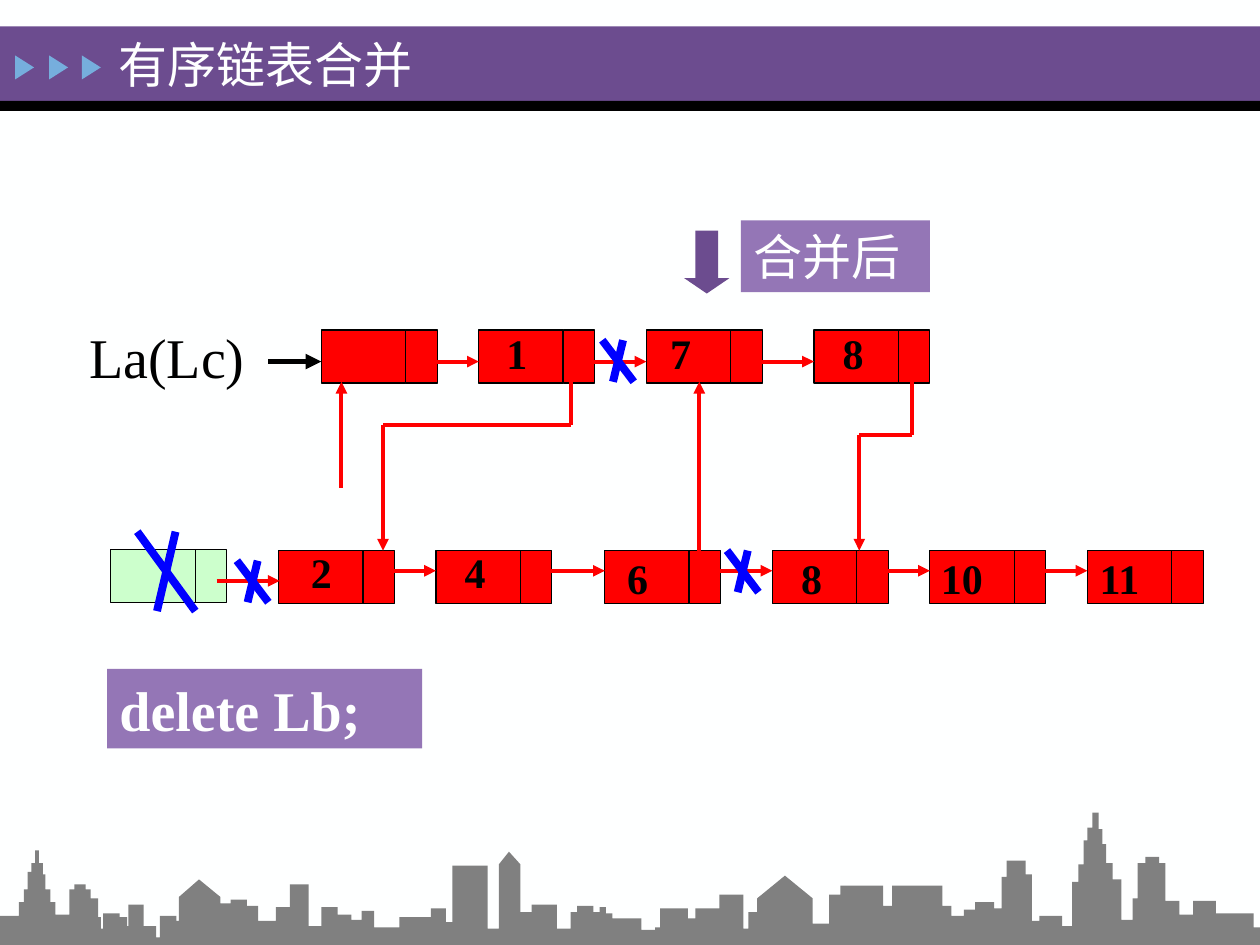
from lxml import etree
from pptx import Presentation
from pptx.dml.color import RGBColor
from pptx.enum import shapes, text
from pptx.oxml.ns import qn
from pptx.util import Inches, Pt

FONT = "Times New Roman"
WHITE, BLACK, RED, BLUE = "FEFFFF", "000000", "FF0000", "0000FF"
PURPLE, LILAC, SKY, GREEN, GREY = "6C4C8F", "9476B6", "76AEDD", "CCFFCC", "808080"
DATA_WIDTH, LINK_WIDTH, NODE_HEIGHT = 0.67, 0.25, 0.42
LINK_LENGTH = 0.5

# Each list: node top, arrow height, nodes as (left, value, value left, value top)
LISTS = [
    (2.62, 2.87, [(2.55, None, 0, 0), (3.8, "1", 3.92, 2.54),
                  (5.13, "7", 5.22, 2.54), (6.46, "8", 6.59, 2.54)]),
    (4.37, 4.53, [(2.21, "2", 2.37, 4.28), (3.46, "4", 3.59, 4.28),
                  (4.8, "6", 4.88, 4.33), (6.13, "8", 6.26, 4.33),
                  (7.38, "10", 7.37, 4.33), (8.63, "11", 8.63, 4.33)]),
]
# Corner points of the links between the lists; each ends in an arrowhead
LINK_PATHS = [
    [(2.71, 3.87), (2.71, 3.03)],
    [(4.53, 2.87), (4.53, 3.37), (3.04, 3.37), (3.04, 4.37)],
    [(5.55, 4.53), (5.55, 3.03)],
    [(7.24, 2.87), (7.24, 3.45), (6.82, 3.45), (6.82, 4.37)],
    [(1.72, 4.61), (2.22, 4.61)],
]
# Skyline: from each x on, the roof is at height y
ROOF_STEPS = [
    (0, 7.27), (0.15, 7.16), (0.19, 7.06), (0.22, 6.92), (0.25, 6.85), (0.28, 6.75),
    (0.31, 6.85), (0.34, 6.94), (0.36, 7.06), (0.4, 7.16), (0.44, 7.26), (0.55, 7.06),
    (0.59, 7.02), (0.68, 7.06), (0.72, 7.13), (0.78, 7.28), (0.8, 7.37), (0.82, 7.25),
    (0.95, 7.28), (1.01, 7.35), (1.02, 7.18), (1.14, 7.35), (1.24, 7.44), (1.27, 7.27),
    (1.4, 7.31), (1.42, 7.12), (1.75, 7.17), (1.83, 7.14), (1.96, 7.19), (2.05, 7.31),
    (2.19, 7.2), (2.3, 7.02), (2.45, 7.35), (2.55, 7.2), (2.68, 7.26), (2.79, 7.3),
    (2.87, 7.23), (2.97, 7.36), (3.17, 7.28), (3.42, 7.21), (3.54, 7.32), (3.59, 6.87),
    (3.87, 7.37), (3.96, 6.86), (4.13, 7.24), (4.22, 7.18), (4.42, 7.37), (4.53, 7.24),
    (4.58, 7.19), (4.71, 7.24), (4.76, 7.2), (4.81, 7.25), (4.86, 7.29), (5.09, 7.38),
    (5.2, 7.36), (5.24, 7.21), (5.46, 7.29), (5.52, 7.21), (5.71, 7.1), (5.9, 7.37),
    (5.94, 7.24), (6.01, 7.13), (6.45, 7.33), (6.58, 7.1), (6.67, 7.03), (7.01, 7.19),
    (7.08, 7.03), (7.48, 7.19), (7.55, 7.27), (7.65, 7.22), (7.74, 7.16), (7.89, 7.21),
    (7.95, 6.96), (7.99, 6.83), (8.14, 6.94), (8.19, 7.31), (8.25, 7.27), (8.43, 7.35),
    (8.51, 7), (8.56, 6.86), (8.6, 6.67), (8.63, 6.57), (8.67, 6.45), (8.72, 6.58),
    (8.75, 6.7), (8.78, 6.85), (8.83, 6.98), (8.9, 7.3), (8.99, 7.13), (9.03, 6.85),
    (9.09, 6.8), (9.2, 6.85), (9.25, 7.15), (9.36, 7.26), (9.47, 7.15), (9.65, 7.25),
    (9.95, 7.36),
]
GABLES = {1.42: (1.58, 6.98), 3.96: (4.04, 6.76), 6.01: (6.23, 6.95)}
SKYLINE_BOTTOM = 7.52


def color(value):
    return RGBColor.from_string(value)


def paint(shape, fill, line=None):
    shape.shadow.inherit = False
    shape.fill.solid()
    shape.fill.fore_color.rgb = color(fill)
    if line:
        shape.line.color.rgb = color(line)
        shape.line.width = Pt(0.75)
    else:
        shape.line.fill.background()


def add_box(slide, left, top, width, height, fill, line=None,
            kind=shapes.MSO_SHAPE.RECTANGLE):
    shape = slide.shapes.add_shape(
        kind, Inches(left), Inches(top), Inches(width), Inches(height))
    paint(shape, fill, line)
    return shape


def write(shape, content, size, font_color, bold=False, wrap=True):
    frame = shape.text_frame
    frame.text = content
    frame.word_wrap = wrap
    frame.vertical_anchor = text.MSO_ANCHOR.MIDDLE
    paragraph = frame.paragraphs[0]
    paragraph.alignment = text.PP_ALIGN.LEFT
    font = paragraph.runs[0].font
    font.name, font.size, font.bold = FONT, Pt(size), bold
    font.color.rgb = color(font_color)


def add_label(slide, left, top, width, height, content, size, bold=False, wrap=True):
    box = slide.shapes.add_textbox(
        Inches(left), Inches(top), Inches(width), Inches(height))
    write(box, content, size, BLACK, bold, wrap)


def add_line(slide, start, end, line_color, width, arrow=False):
    line = slide.shapes.add_connector(
        shapes.MSO_CONNECTOR.STRAIGHT, *map(Inches, (*start, *end)))
    line.line.color.rgb = color(line_color)
    line.line.width = Pt(width)
    if arrow:
        etree.SubElement(line.line._get_or_add_ln(), qn("a:tailEnd"), type="triangle")
    etree.SubElement(line._element.spPr, qn("a:effectLst"))


def add_link(slide, points):
    """Draw a red path through the points, with an arrowhead on its last leg."""
    for start, end in zip(points, points[1:]):
        add_line(slide, start, end, RED, 2.25, arrow=end == points[-1])


def add_cross(slide, left, top, width, height):
    bottom = top + height
    add_line(slide, (left + 0.66 * width, top), (left + 0.34 * width, bottom), BLUE, 4.5)
    add_line(slide, (left, top), (left + width, bottom), BLUE, 4.5)


def add_node(slide, left, top, fill):
    add_box(slide, left, top, DATA_WIDTH, NODE_HEIGHT, fill, BLACK)
    add_box(slide, left + DATA_WIDTH, top, LINK_WIDTH, NODE_HEIGHT, fill, BLACK)


def add_list(slide, top, arrow_y, nodes):
    for left, *_ in nodes:
        add_node(slide, left, top, RED)
    for left, *_ in nodes[1:]:
        add_link(slide, [(left - LINK_LENGTH, arrow_y), (left, arrow_y)])
    for _, value, value_left, value_top in nodes:
        if value:
            width = 0.2 + 0.17 * len(value)
            add_label(slide, value_left, value_top, width, 0.51, value, 24, True, False)


def add_header(slide, content):
    add_box(slide, 0, 0.21, 10, 0.59, PURPLE)
    add_box(slide, 0, 0.8, 10, 0.08, BLACK)
    for left in (0.1, 0.37, 0.63):
        marker = add_box(slide, left, 0.46, 0.19, 0.15, SKY,
                         kind=shapes.MSO_SHAPE.ISOSCELES_TRIANGLE)
        marker.rotation = 90
    title = slide.shapes.title
    title.left, title.top, title.width, title.height = map(
        Inches, (0.84, 0.22, 3.08, 0.57))
    write(title, content, 28, WHITE)
    slide.shapes._spTree.append(title._element)  # in front of the header band


def add_skyline(slide):
    points = []
    ends = [x for x, _ in ROOF_STEPS[1:]] + [10]
    for (start, height), end in zip(ROOF_STEPS, ends):
        points.append((start, height))
        if start in GABLES:
            points.append(GABLES[start])
        points.append((end, height))
    points.append((10, SKYLINE_BOTTOM))
    builder = slide.shapes.build_freeform(0, Inches(SKYLINE_BOTTOM))
    builder.add_line_segments([(Inches(x), Inches(y)) for x, y in points], close=True)
    paint(builder.convert_to_shape(), GREY)


def main():
    presentation = Presentation()
    presentation.slide_width, presentation.slide_height = Inches(10), Inches(7.5)
    slide = presentation.slides.add_slide(presentation.slide_layouts[5])
    slide.background.fill.solid()
    slide.background.fill.fore_color.rgb = color(WHITE)
    add_header(slide, "有序链表合并")
    for top, arrow_y, nodes in LISTS:
        add_list(slide, top, arrow_y, nodes)
    add_node(slide, 0.88, 4.36, GREEN)
    for points in LINK_PATHS:
        add_link(slide, points)
    add_line(slide, (2.13, 2.87), (2.55, 2.87), BLACK, 3, arrow=True)
    add_label(slide, 0.61, 2.51, 1.48, 0.63, "La(Lc)", 32)
    for left, top in ((4.78, 2.7), (5.77, 4.37), (1.88, 4.45)):
        add_cross(slide, left, top, 0.25, 0.33)
    add_cross(slide, 1.09, 4.22, 0.46, 0.63)
    arrow = add_box(slide, 5.43, 1.83, 0.36, 0.5, PURPLE,
                    kind=shapes.MSO_SHAPE.DOWN_ARROW)
    arrow.adjustments[1] = 0.34
    write(add_box(slide, 5.88, 1.75, 1.5, 0.57, LILAC), "合并后", 28, WHITE)
    write(add_box(slide, 0.85, 5.31, 2.5, 0.63, LILAC), "delete Lb;", 32, WHITE, True)
    add_skyline(slide)
    presentation.save("out.pptx")


if __name__ == "__main__":
    main()
